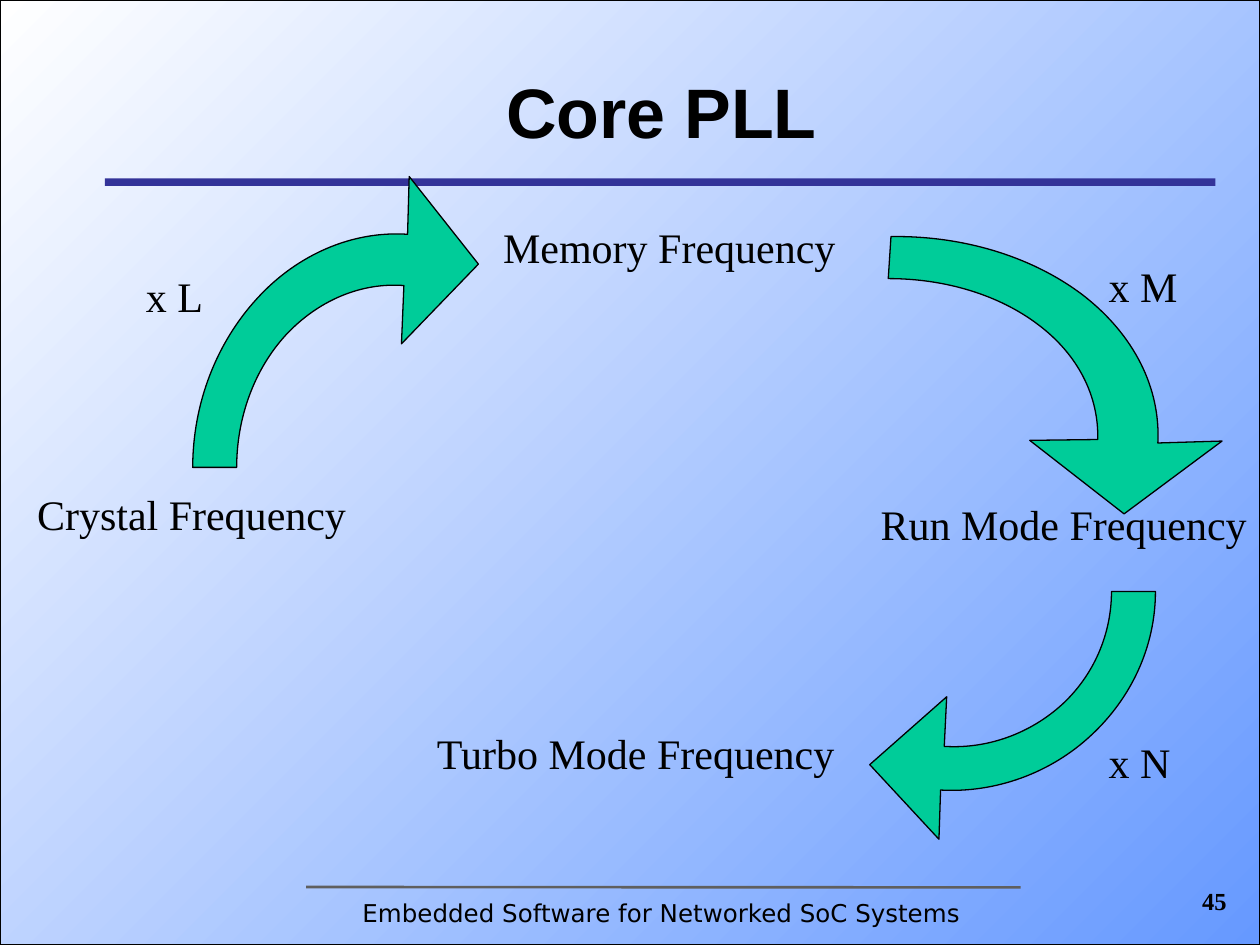
import pptx
import pptx.util
import pptx.dml.color
import pptx.enum.shapes
import pptx.enum.text
import pptx.oxml.ns
import lxml.etree

COLORS = {"ink": "000000", "white": "FFFFFF", "sky": "6699FF",
          "rule": "333399", "footer rule": "5F5F5F", "arrow": "00CC99"}
ALIGN = pptx.enum.text.PP_ALIGN
ANCHOR = pptx.enum.text.MSO_ANCHOR
RECTANGLE = pptx.enum.shapes.MSO_SHAPE.RECTANGLE
qn = pptx.oxml.ns.qn
rgb = {name: pptx.dml.color.RGBColor.from_string(value)
       for name, value in COLORS.items()}

deck = pptx.Presentation()
deck.slide_width = pptx.util.Inches(10)
deck.slide_height = pptx.util.Inches(7.5)
slide = deck.slides.add_slide(deck.slide_layouts[5])


def grid(*cells):
    """Turn columns and rows (100 by 75 on the slide) into EMU."""
    return [round(cell * deck.slide_width / 100) for cell in cells]


def write(box, text, font, size, align=ALIGN.LEFT, bold=False, wrap=True,
          anchor=ANCHOR.TOP):
    frame = box.text_frame
    frame.text = text
    frame.word_wrap = wrap
    frame.vertical_anchor = anchor
    paragraph = frame.paragraphs[0]
    paragraph.alignment = align
    letters = paragraph.runs[0].font
    letters.name, letters.size, letters.bold = font, pptx.util.Pt(size), bold
    letters.color.rgb = rgb["ink"]


# Backdrop and rules
backdrop = slide.shapes.add_shape(RECTANGLE, *grid(0, 0, 100, 75))
backdrop.shadow.inherit = False
backdrop.fill.gradient()
backdrop.fill.gradient_angle = 315
for stop, name in zip(backdrop.fill.gradient_stops, ("white", "sky")):
    stop.color.rgb = rgb[name]
backdrop.line.color.rgb = rgb["ink"]
backdrop.line.width = pptx.util.Pt(0.75)

title_rule = slide.shapes.add_shape(RECTANGLE, *grid(8.33, 14.17, 88.13, 0.6))
title_rule.shadow.inherit = False
title_rule.fill.solid()
title_rule.fill.fore_color.rgb = rgb["rule"]
title_rule.line.fill.background()

footer_rule = slide.shapes.add_connector(
    pptx.enum.shapes.MSO_CONNECTOR.STRAIGHT, *grid(24.3, 70.4, 81, 70.43))
footer_rule.line.color.rgb = rgb["footer rule"]
footer_rule.line.width = pptx.util.Pt(1.5)
lxml.etree.SubElement(footer_rule._element.spPr, qn("a:effectLst"))

# Title, brought in front of the backdrop
title = slide.shapes.title
title.left, title.top, title.width, title.height = grid(
    8.33, 3.33, 88.33, 10.83)
write(title, "Core PLL", "Arial", 40, ALIGN.CENTER, bold=True,
      anchor=ANCHOR.MIDDLE)
slide.shapes._spTree.append(title._element)

# Arrow outlines in thousandths of the arrow's frame
HEAD = [("lnTo", [(532, -124)]), ("lnTo", [(702, 64)]),
        ("lnTo", [(513, 235)]), ("close", [])]
long_arc = [
    ("moveTo", [(519, 110)]),
    ("cubicBezTo", [(412, 103), (307, 143), (229, 216)]),
    ("cubicBezTo", [(152, 289), (108, 392), (108, 500)]),
    ("lnTo", [(0, 500)]),
    ("cubicBezTo", [(0, 362), (59, 232), (158, 138)]),
    ("cubicBezTo", [(257, 43), (393, -8), (528, 0)])] + HEAD
short_arc = [
    ("moveTo", [(517, 108)]),
    ("cubicBezTo", [(412, 103), (308, 138), (230, 211)]),
    ("cubicBezTo", [(153, 282), (108, 382), (103, 488)]),
    ("lnTo", [(0, 480)]),
    ("cubicBezTo", [(4, 344), (63, 216), (163, 124)]),
    ("cubicBezTo", [(264, 33), (396, -13), (531, -4)])] + HEAD

# Crystal to memory, run to turbo, memory to run
arrows = [
    (long_arc, 15.3, 18.6, 32.3, 37, 0),
    (long_arc, 59.4, 31.2, 32.3, 31.5, 180),
    (short_arc, 54.3, 13.7, 32.3, 42.5, 87.9),
]
for outline, column, row, width, height, turn in arrows:
    left, top, right, bottom = grid(column, row, column + width, row + height)
    builder = slide.shapes.build_freeform(left, top)
    builder.add_line_segments([(right, top), (right, bottom), (left, bottom)])
    arrow = builder.convert_to_shape()
    curve = next(arrow._element.iter(qn("a:path")))
    for corner in list(curve):
        curve.remove(corner)
    curve.set("w", "1000")
    curve.set("h", "1000")
    for command, points in outline:
        stroke = lxml.etree.SubElement(curve, qn("a:" + command))
        for x, y in points:
            lxml.etree.SubElement(stroke, qn("a:pt"), x=str(x), y=str(y))
    arrow.rotation = turn
    arrow.shadow.inherit = False
    arrow.fill.solid()
    arrow.fill.fore_color.rgb = rgb["arrow"]
    arrow.line.color.rgb = rgb["ink"]
    arrow.line.width = pptx.util.Pt(0.75)

# Frequencies and multipliers: text, column, row, width
labels = [
    ("Crystal Frequency", 1.96, 38.3, 26.6),
    ("Turbo Mode Frequency", 33.7, 57.25, 33.7),
    ("Run Mode Frequency", 68.9, 39.1, 31.1),
    ("Memory Frequency", 38.95, 17.05, 28.5),
    ("x L", 10.6, 21, 6.7),
    ("x N", 87, 58, 7),
    ("x M", 87, 20.2, 7.6),
]
for text, column, row, width in labels:
    label = slide.shapes.add_textbox(*grid(column, row, width, 5))
    write(label, text, "Times New Roman", 24, wrap=False)
    label.text_frame.auto_size = pptx.enum.text.MSO_AUTO_SIZE.SHAPE_TO_FIT_TEXT

# Footer
course = slide.shapes.add_textbox(*grid(8.33, 70.8, 88.33, 3.5))
write(course, "Embedded Software for Networked SoC Systems", "DejaVu Sans", 14,
      ALIGN.CENTER)
page_number = slide.shapes.add_textbox(*grid(87.5, 69.8, 10.83, 5))
write(page_number, "45", "Times New Roman", 14, ALIGN.RIGHT, bold=True)

deck.save("out.pptx")
